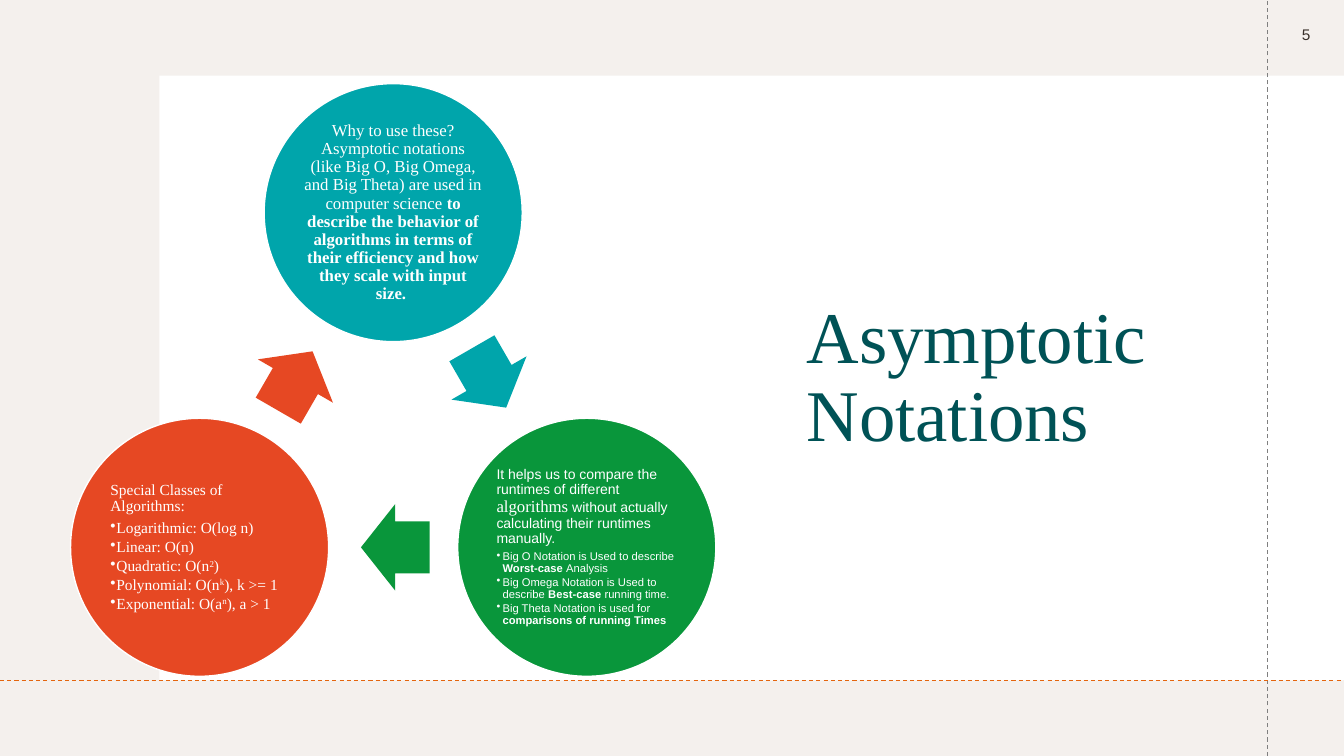
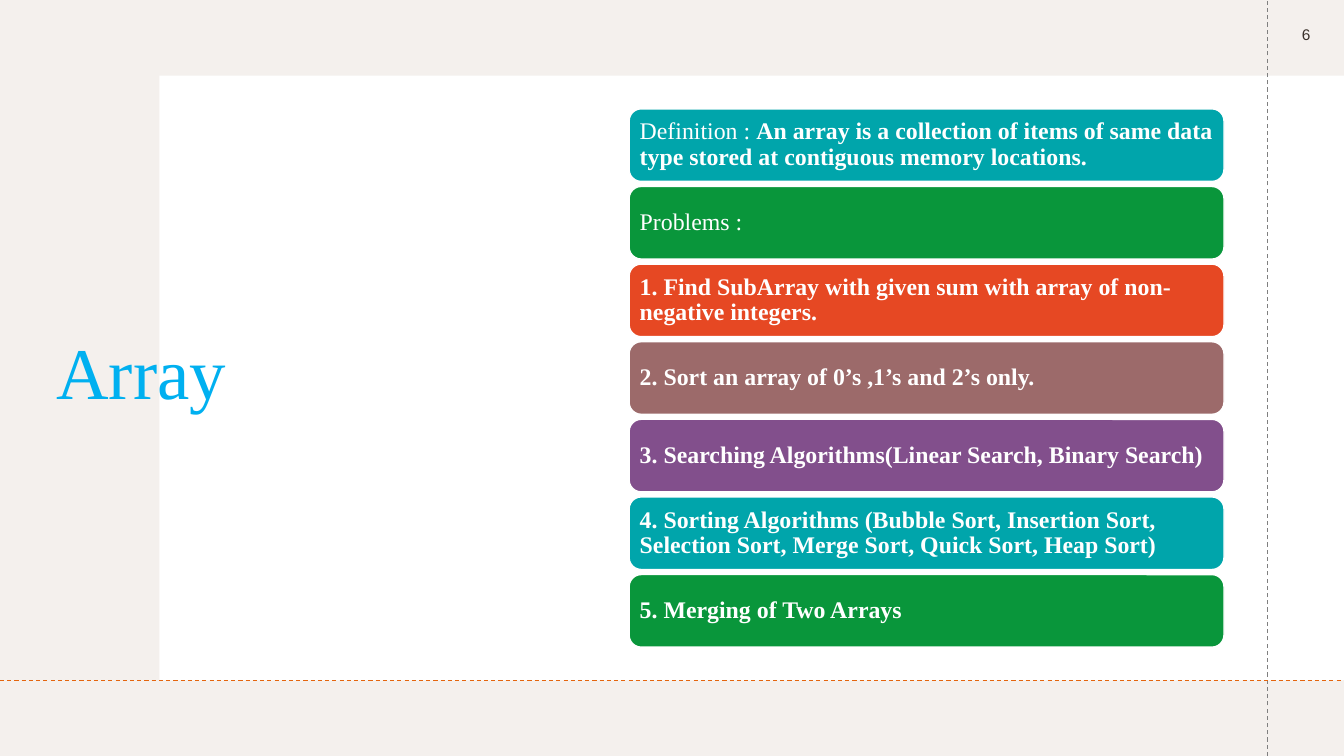
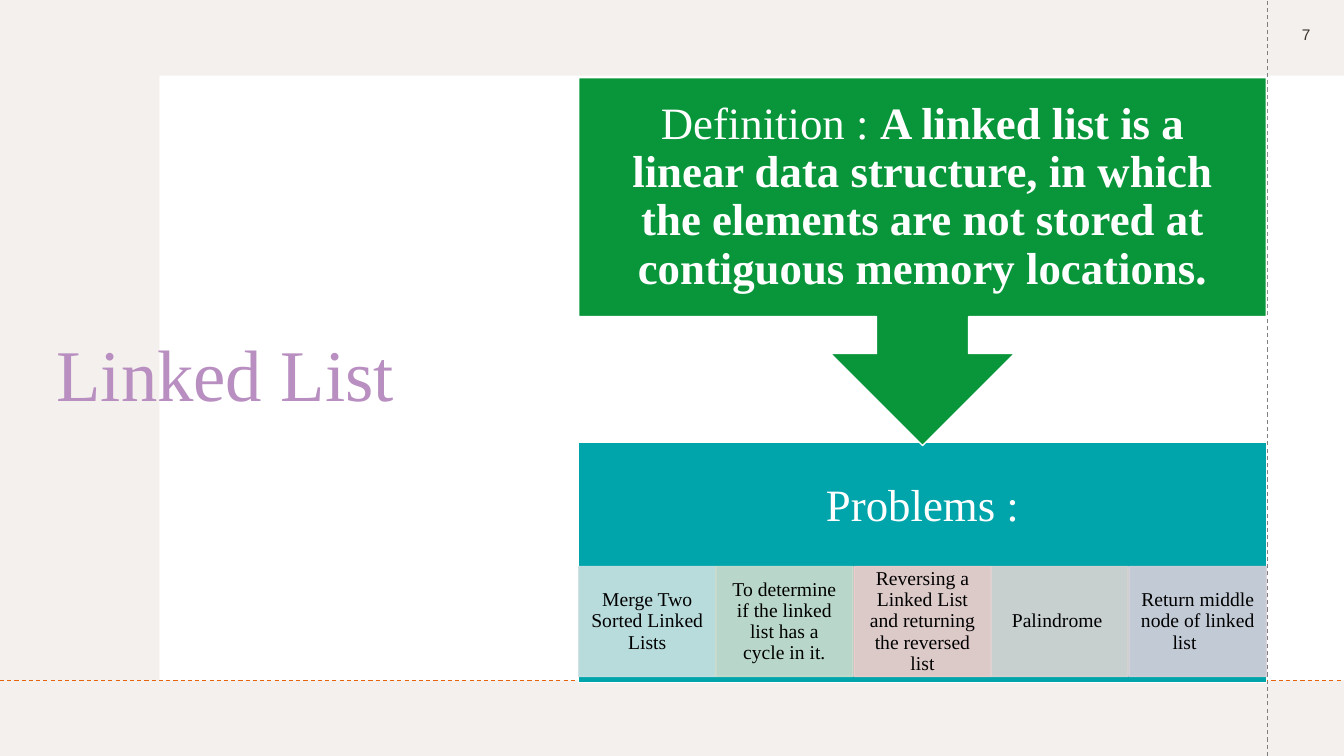
import pptx
import pptx.util
import pptx.dml.color
import pptx.enum.dml
import pptx.enum.shapes
import pptx.enum.text
import pptx.oxml
import pptx.oxml.ns

RGBColor = pptx.dml.color.RGBColor
SHAPE = pptx.enum.shapes.MSO_SHAPE
ALIGN = pptx.enum.text.PP_ALIGN
MIDDLE = pptx.enum.text.MSO_ANCHOR.MIDDLE
qn = pptx.oxml.ns.qn

# Shared look; 100 px make one inch
EMU_PER_PX = 9144
SERIF, SANS = "Times New Roman", "Arial"
WHITE = RGBColor(0xFF, 0xFF, 0xFF)
BLACK = RGBColor(0x00, 0x00, 0x00)
BACKDROP = RGBColor(0xF4, 0xF0, 0xED)
INK = RGBColor(0x39, 0x30, 0x2A)
GREY = RGBColor(0x7F, 0x7F, 0x7F)
ORANGE = RGBColor(0xE4, 0x65, 0x0E)
TEAL = RGBColor(0x00, 0xA5, 0xAB)
GREEN = RGBColor(0x09, 0x96, 0x3B)
RED = RGBColor(0xE6, 0x48, 0x23)
BROWN = RGBColor(0x9C, 0x6A, 0x6A)
PURPLE = RGBColor(0x82, 0x4F, 0x8C)
DARK_TEAL = RGBColor(0x00, 0x52, 0x56)
SKY = RGBColor(0x00, 0xB0, 0xF0)
LILAC = RGBColor(0xB8, 0x8F, 0xC0)
PALE_TEAL = RGBColor(0xCC, 0xE1, 0xE2)
PALE_GREEN = RGBColor(0xCC, 0xDD, 0xCE)
PALE_RED = RGBColor(0xF5, 0xCF, 0xCD)
PALE_BROWN = RGBColor(0xDE, 0xD4, 0xD4)
PALE_PURPLE = RGBColor(0xD8, 0xD0, 0xDA)
BOLD = {"bold": True}
RAISED = {"raised": True}


def px(n):
    return pptx.util.Emu(n * EMU_PER_PX)


def box(*lengths):
    return [px(n) for n in lengths]


# Text
def add_run(p, text, size, font, color, bold=False, raised=False):
    r = p.add_run()
    r.text = text
    r.font.size = pptx.util.Pt(size)
    r.font.name = font
    r.font.color.rgb = color
    r.font.bold = bold
    if raised:
        r.font._element.set("baseline", "30000")


def add_text(tf, text, size=12, font=SERIF, color=WHITE, bold=False,
             align=ALIGN.LEFT, after=0, bullet=False):
    """Add a paragraph; text is a string or a list of strings and (string, format)."""
    p = tf.paragraphs[0]
    if p.runs:
        p = tf.add_paragraph()
    p.alignment = align
    p.line_spacing = 0.9
    p.space_before = pptx.util.Pt(0)
    p.space_after = pptx.util.Pt(after)
    if bullet:
        pPr = p._p.get_or_add_pPr()
        pPr.set("marL", str(px(6)))
        pPr.set("indent", str(-px(6)))
        pptx.oxml.ns  # bullets follow the spacing elements
        pPr.append(pptx.oxml.parse_xml(
            '<a:buChar xmlns:a="http://schemas.openxmlformats.org/drawingml/2006/main" char="•"/>'))
    base = {"size": size, "font": font, "color": color, "bold": bold}
    for part in [text] if isinstance(text, str) else text:
        words, change = (part, {}) if isinstance(part, str) else part
        add_run(p, words, **{**base, **change})


def set_frame(tf, insets=(10, 5, 10, 5)):
    tf.word_wrap = True
    tf.auto_size = pptx.enum.text.MSO_AUTO_SIZE.NONE
    tf.vertical_anchor = MIDDLE
    tf.margin_left, tf.margin_top, tf.margin_right, tf.margin_bottom = box(*insets)


# Shapes
def add_shape(s, kind, at, fill, line=None, insets=(0, 0, 0, 0), opacity=100):
    sp = s.shapes.add_shape(kind, *box(*at))
    sp.shadow.inherit = False
    sp.fill.solid()
    sp.fill.fore_color.rgb = fill
    if line is None:
        sp.line.fill.background()
    else:
        sp.line.color.rgb = line
        sp.line.width = pptx.util.Pt(1)
    if opacity < 100:
        for color in sp.element.spPr.iter(qn("a:srgbClr")):
            alpha = color.makeelement(qn("a:alpha"), {"val": str(opacity * 1000)})
            color.append(alpha)
    set_frame(sp.text_frame, insets)
    return sp


def add_guide(s, start, end, color):
    line = s.shapes.add_connector(pptx.enum.shapes.MSO_CONNECTOR.STRAIGHT,
                                  *box(*start, *end))
    line.line.color.rgb = color
    line.line.width = pptx.util.Pt(0.75)
    line.line.dash_style = pptx.enum.dml.MSO_LINE.DASH
    spPr = line.element.spPr
    spPr.append(spPr.makeelement(qn("a:effectLst"), {}))


def add_circle(s, left, top, fill, inset):
    return add_shape(s, SHAPE.OVAL, (left, top, 256, 256), fill, WHITE,
                     (inset,) * 4).text_frame


def add_cycle_arrow(s, left, top, fill, rotation):
    sp = add_shape(s, SHAPE.RIGHT_ARROW, (left, top, 68, 86), fill)
    sp.adjustments[0], sp.adjustments[1] = 0.6, 0.5
    sp.rotation = rotation


def add_slide(prs, number, title, color, at):
    """Start a slide with its panel, title, number and guide lines."""
    s = prs.slides.add_slide(prs.slide_layouts[5])
    add_shape(s, SHAPE.RECTANGLE, (158, 75, 1175, 600), WHITE)
    sp = s.shapes.title
    s.shapes.element.append(sp.element)  # bring the title above the panel
    sp.left, sp.top, sp.width, sp.height = box(*at)
    set_frame(sp.text_frame)
    add_text(sp.text_frame, title, size=52, color=color)
    tf = s.shapes.add_textbox(*box(1258, -2, 75, 75)).text_frame
    set_frame(tf)
    add_text(tf, str(number), size=11, font=SANS, color=INK,
             align=ALIGN.CENTER, after=6)
    add_guide(s, (1257, 750), (1257, 0), GREY)
    add_guide(s, (0, 675), (1333, 675), ORANGE)
    return s


# Slides
def add_notations(prs):
    s = add_slide(prs, 5, "Asymptotic Notations", DARK_TEAL, (790, 104, 458, 544))

    tf = add_circle(s, 262, 83, TEAL, 2)
    add_text(tf, "Why to use these?", align=ALIGN.CENTER)
    add_text(tf, ["Asymptotic notations (like Big O, Big Omega, and Big Theta) "
                  "are used in computer science ",
                  ("to describe the behavior of algorithms in terms of their "
                   "efficiency and how they scale with input size. ", BOLD)],
             align=ALIGN.CENTER)
    add_cycle_arrow(s, 451, 332, TEAL, 60)

    tf = add_circle(s, 454, 415, GREEN, 1)
    add_text(tf, ["It helps us to compare the runtimes of different ",
                  ("algorithms", {"size": 12, "font": SERIF}),
                  " without actually calculating their runtimes manually."],
             size=10, font=SANS, after=3.5)
    for text in (
            ["Big O Notation is Used to describe ", ("Worst-case ", BOLD), "Analysis"],
            ["Big Omega Notation is Used to describe ", ("Best-case", BOLD),
             " running time."],
            ["Big Theta Notation is used for ", ("comparisons of running Times", BOLD)]):
        add_text(tf, text, size=8, font=SANS, after=1.2, bullet=True)
    add_cycle_arrow(s, 358, 500, GREEN, 180)

    tf = add_circle(s, 70, 415, RED, 2)
    add_text(tf, "Special Classes of Algorithms:", size=11, after=3.85)
    for text in ("Logarithmic: O(log n)", "Linear: O(n)",
                 ["Quadratic: O(n", ("2", RAISED), ")"],
                 ["Polynomial: O(n", ("k", RAISED), "), k >= 1"],
                 ["Exponential: O(a", ("n", RAISED), "), a > 1"]):
        add_text(tf, text, size=11, after=1.65, bullet=True)
    add_cycle_arrow(s, 259, 335, RED, 300)


def add_array(prs):
    s = add_slide(prs, 6, "Array", SKY, (46, 111, 532, 524))
    rows = [
        (TEAL, ["Definition : ",
                ("An array is a collection of items of same data type stored at "
                 "contiguous memory locations.", BOLD)]),
        (GREEN, "Problems :"),
        (RED, [("1. Find SubArray with given sum with array of non-negative "
                "integers.", BOLD)]),
        (BROWN, [("2. Sort an array of 0’s ,1’s and 2’s only.", BOLD)]),
        (PURPLE, [("3. Searching Algorithms(Linear Search, Binary Search)", BOLD)]),
        (TEAL, [("4. Sorting Algorithms (Bubble Sort, Insertion Sort, Selection "
                 "Sort, Merge Sort, Quick Sort, Heap Sort)", BOLD)]),
        (GREEN, [("5. Merging of Two Arrays", BOLD)]),
    ]
    for i, (fill, text) in enumerate(rows):
        sp = add_shape(s, SHAPE.ROUNDED_RECTANGLE, (624, 108 + 77 * i, 590, 72),
                       fill, WHITE, (7, 7, 7, 7))
        add_text(sp.text_frame, text, size=17)


def add_linked_list(prs):
    s = add_slide(prs, 7, "Linked List", LILAC, (46, 103, 489, 544))
    left, width = 574, 682

    # Problems block, its heading kept above the cells
    sp = add_shape(s, SHAPE.RECTANGLE, (left, 439, width, 238), TEAL, WHITE,
                   (25, 25, 25, 135))
    add_text(sp.text_frame, "Problems :", size=32, align=ALIGN.CENTER)
    cells = [
        (PALE_TEAL, "Merge Two Sorted Linked Lists"),
        (PALE_GREEN, "To determine if the linked list has a cycle in it."),
        (PALE_RED, "Reversing a Linked List and returning the reversed list"),
        (PALE_BROWN, "Palindrome "),
        (PALE_PURPLE, "Return middle node of linked list\t"),
    ]
    for i, (fill, text) in enumerate(cells):
        at = (left + round(width * i / len(cells)), 562, 136, 109)
        sp = add_shape(s, SHAPE.RECTANGLE, at, fill, fill, (11, 2, 11, 2), opacity=90)
        add_text(sp.text_frame, text, size=14, color=BLACK, align=ALIGN.CENTER)

    # Definition pointing down to the problems
    sp = add_shape(s, SHAPE.DOWN_ARROW_CALLOUT, (left, 77, width, 365), GREEN, WHITE,
                   (25, 25, 25, 25))
    add_text(sp.text_frame,
             ["Definition : ",
              ("A linked list is a linear data structure, in which the elements are "
               "not stored at contiguous memory locations.", BOLD)],
             size=32, align=ALIGN.CENTER)


def main():
    prs = pptx.Presentation()
    prs.slide_width, prs.slide_height = box(1333, 750)
    fill = prs.slide_master.background.fill
    fill.solid()
    fill.fore_color.rgb = BACKDROP
    add_notations(prs)
    add_array(prs)
    add_linked_list(prs)
    prs.save("out.pptx")


if __name__ == "__main__":
    main()
